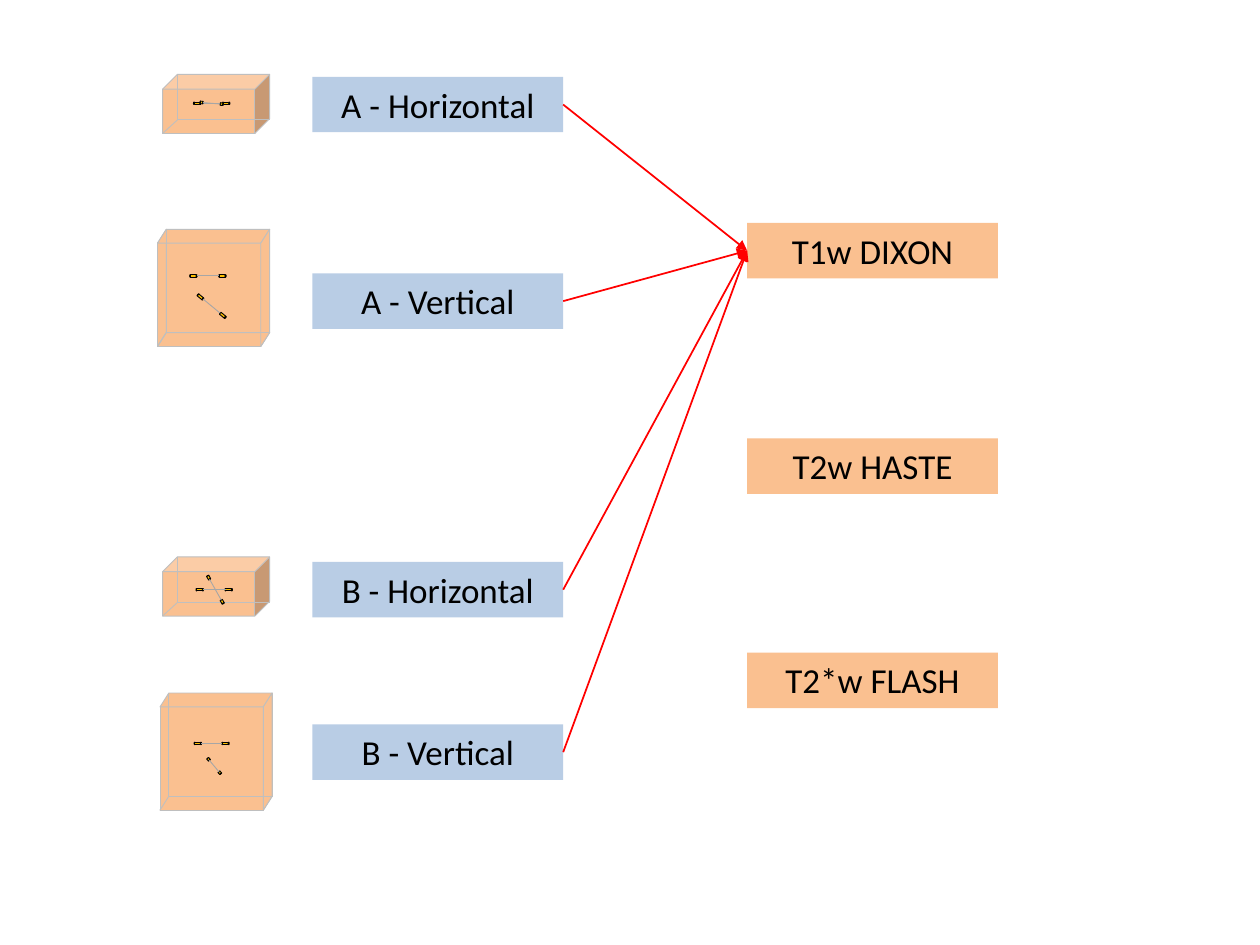
from dataclasses import dataclass
from math import cos, radians, sin

from lxml import etree
from pptx import Presentation
from pptx import util as u
from pptx.dml.color import RGBColor
from pptx.enum import shapes, text
from pptx.oxml.ns import qn

BLACK = RGBColor(0x00, 0x00, 0x00)
BLUE = RGBColor(0xB9, 0xCD, 0xE5)
ORANGE = RGBColor(0xFA, 0xC0, 0x90)
GOLD = RGBColor(0xFF, 0xC0, 0x00)
RED = RGBColor(0xFF, 0x00, 0x00)
EDGE_GRAY = RGBColor(0xBF, 0xBF, 0xBF)
WIRE_GRAY = RGBColor(0xA6, 0xA6, 0xA6)

BOX_WIDTH, BOX_HEIGHT = 1.99, 0.44
PLANE_LEFT, SEQUENCE_LEFT = 2.48, 5.93
THICKNESS = 0.02
Point = tuple[float, float]


@dataclass
class Label:
    caption: str
    left: float
    top: float
    fill: RGBColor


@dataclass
class Solid:
    left: float
    top: float
    width: float
    height: float
    depth_x: float
    depth_y: float
    faces: tuple[str, ...] = ()


@dataclass
class Probe:
    middle: Point
    span: float
    bar: float = 0.05
    angle: float = 0


PLANES = [
    Label("A - Horizontal", PLANE_LEFT, 0.61, BLUE),
    Label("A - Vertical", PLANE_LEFT, 2.17, BLUE),
    Label("B - Horizontal", PLANE_LEFT, 4.46, BLUE),
    Label("B - Vertical", PLANE_LEFT, 5.75, BLUE),
]
SEQUENCES = [
    Label("T1w DIXON", SEQUENCE_LEFT, 1.77, ORANGE),
    Label("T2w HASTE", SEQUENCE_LEFT, 3.48, ORANGE),
    Label("T2*w FLASH", SEQUENCE_LEFT, 5.18, ORANGE),
]
PHANTOMS = [
    (Solid(1.25, 1.82, 0.89, 0.93, 0.07, 0.11,
           ("front", "left", "bottom", "back", "top", "right")),
     [Probe((1.65, 2.19), 0.23), Probe((1.68, 2.43), 0.23, angle=39.6)]),
    (Solid(1.27, 5.5, 0.89, 0.93, 0.07, 0.11,
           ("bottom", "back", "front", "top", "right")),
     [Probe((1.68, 5.9), 0.22), Probe((1.7, 6.08), 0.14, 0.02, 50.1)]),
    (Solid(1.29, 4.42, 0.85, 0.47, 0.12, 0.11),
     [Probe((1.7, 4.68), 0.23), Probe((1.71, 4.68), 0.22, 0.03, 60.6)]),
    (Solid(1.29, 0.59, 0.85, 0.47, 0.12, 0.11),
     [Probe((1.68, 0.82), 0.23), Probe((1.68, 0.82), 0.16, 0.02, 4.7)]),
]


def paint(shape, fill: RGBColor, line: RGBColor) -> None:
    shape.shadow.inherit = False
    shape.fill.solid()
    shape.fill.fore_color.rgb = fill
    shape.line.color.rgb = line
    shape.line.width = u.Pt(0.5)


def add_shape(parent, kind, left: float, top: float, width: float, height: float,
              fill: RGBColor, line: RGBColor, angle: float = 0) -> None:
    shape = parent.add_shape(kind, u.Inches(left), u.Inches(top),
                             u.Inches(width), u.Inches(height))
    shape.rotation = angle
    paint(shape, fill, line)


def add_line(parent, start: Point, end: Point, color: RGBColor, width: float = 0.5):
    line = parent.add_connector(shapes.MSO_CONNECTOR.STRAIGHT,
                                *(u.Inches(value) for value in start + end))
    line.line.color.rgb = color
    line.line.width = u.Pt(width)
    etree.SubElement(line._element.spPr, qn("a:effectLst"))
    return line


def write(box, caption: str, *, size: float, font: str, color: RGBColor) -> None:
    frame = box.text_frame
    frame.word_wrap = True
    frame.auto_size = text.MSO_AUTO_SIZE.SHAPE_TO_FIT_TEXT
    para = frame.paragraphs[0]
    para.alignment = text.PP_ALIGN.CENTER
    span = para.add_run()
    span.text = caption
    span.font.size = u.Pt(size)
    span.font.name = font
    span.font.color.rgb = color


def add_label(page, label: Label):
    box = page.shapes.add_textbox(u.Inches(label.left), u.Inches(label.top),
                                  u.Inches(BOX_WIDTH), u.Inches(BOX_HEIGHT))
    box.fill.solid()
    box.fill.fore_color.rgb = label.fill
    write(box, label.caption, size=20, font="Calibri", color=BLACK)
    return box


def add_arrow(page, source, target) -> None:
    arrow = add_line(page.shapes, (0, 0), (1, 1), RED, 1)
    arrow.begin_connect(source, 3)
    arrow.end_connect(target, 1)
    etree.SubElement(arrow.line._get_or_add_ln(), qn("a:tailEnd"), type="triangle")


def add_face(page, corners: list[Point]) -> None:
    points = [(u.Inches(x), u.Inches(y)) for x, y in corners]
    outline = page.shapes.build_freeform(*points[0])
    outline.add_line_segments(points[1:], close=True)
    paint(outline.convert_to_shape(), ORANGE, EDGE_GRAY)


def add_solid(page, solid: Solid) -> None:
    left, top = solid.left, solid.top
    right, bottom = left + solid.width, top + solid.height
    back_left, front_right = left + solid.depth_x, right - solid.depth_x
    front_top, back_bottom = top + solid.depth_y, bottom - solid.depth_y
    front = [(left, front_top), (front_right, front_top),
             (front_right, bottom), (left, bottom)]
    back = [(back_left, top), (right, top),
            (right, back_bottom), (back_left, back_bottom)]
    sides = {"top": (0, 1), "right": (1, 2), "bottom": (2, 3), "left": (3, 0)}
    for face in solid.faces:
        if face in sides:
            first, second = sides[face]
            add_face(page, [front[first], back[first], back[second], front[second]])
        else:
            x, y = (front if face == "front" else back)[0]
            add_shape(page.shapes, shapes.MSO_SHAPE.RECTANGLE, x, y,
                      front_right - left, bottom - front_top, ORANGE, EDGE_GRAY)
    if not solid.faces:
        add_shape(page.shapes, shapes.MSO_SHAPE.CUBE, left, top,
                  solid.width, solid.height, ORANGE, EDGE_GRAY)
    for start, end in ((back[0], back[3]), (back[2], back[3]), (back[3], front[3])):
        add_line(page.shapes, start, end, EDGE_GRAY)


def add_probe(group, probe: Probe) -> None:
    def along(distance: float) -> Point:
        turn = radians(probe.angle)
        return (probe.middle[0] + distance * cos(turn),
                probe.middle[1] + distance * sin(turn))

    cap = probe.bar / 5
    parts = ((shapes.MSO_SHAPE.OVAL, -probe.bar / 2, cap),
             (shapes.MSO_SHAPE.RECTANGLE, 0, probe.bar),
             (shapes.MSO_SHAPE.OVAL, probe.bar / 2, cap))
    for center in (-probe.span / 2, probe.span / 2):
        for kind, offset, width in parts:
            x, y = along(center + offset)
            add_shape(group.shapes, kind, x - width / 2, y - THICKNESS / 2,
                      width, THICKNESS, GOLD, BLACK, probe.angle)
    reach = (probe.span - probe.bar) / 2
    add_line(group.shapes, along(-reach), along(reach), WIRE_GRAY)


deck = Presentation()
deck.slide_width, deck.slide_height = u.Inches(10), u.Inches(7.5)
page = deck.slides.add_slide(deck.slide_layouts[6])

plane_boxes = [add_label(page, label) for label in PLANES]
sequence_boxes = [add_label(page, label) for label in SEQUENCES]
for plane_box in plane_boxes:
    add_arrow(page, plane_box, sequence_boxes[0])

for solid, probes in PHANTOMS:
    add_solid(page, solid)
    probe_group = page.shapes.add_group_shape()
    for probe in probes:
        add_probe(probe_group, probe)

deck.save("out.pptx")
